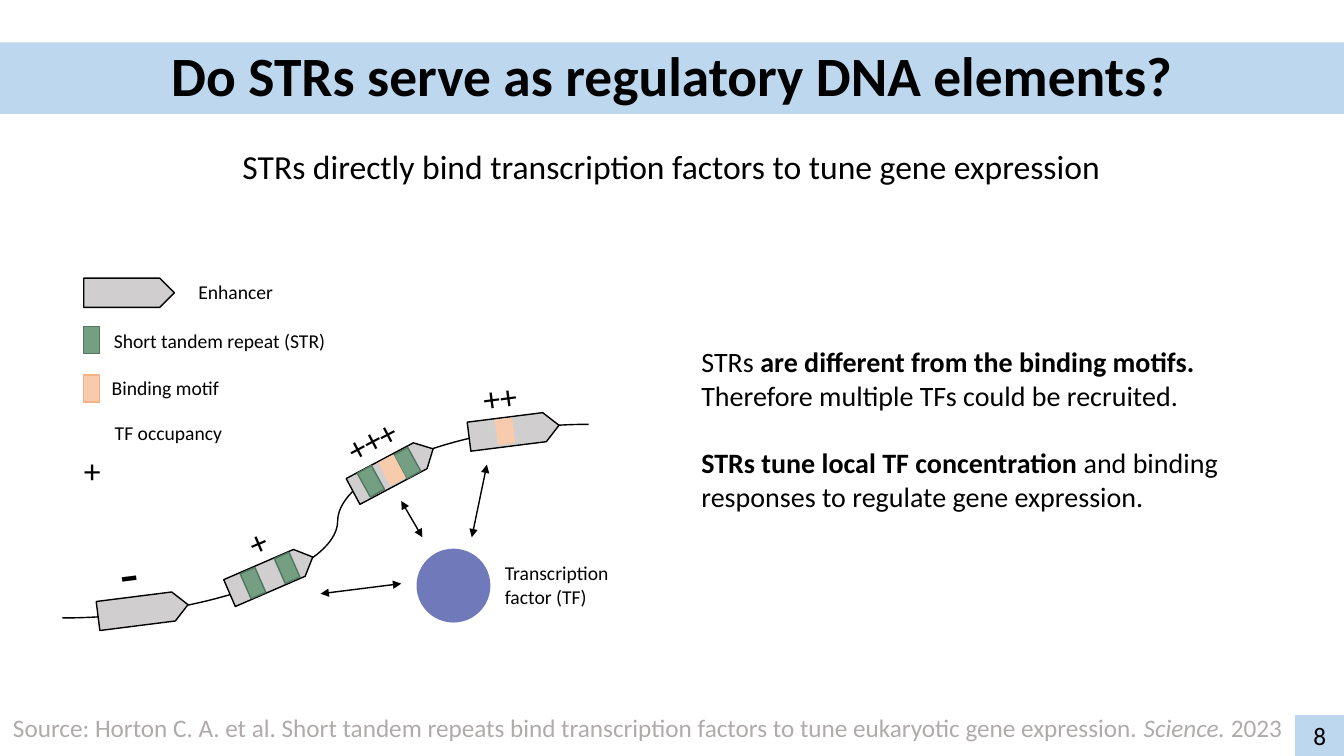
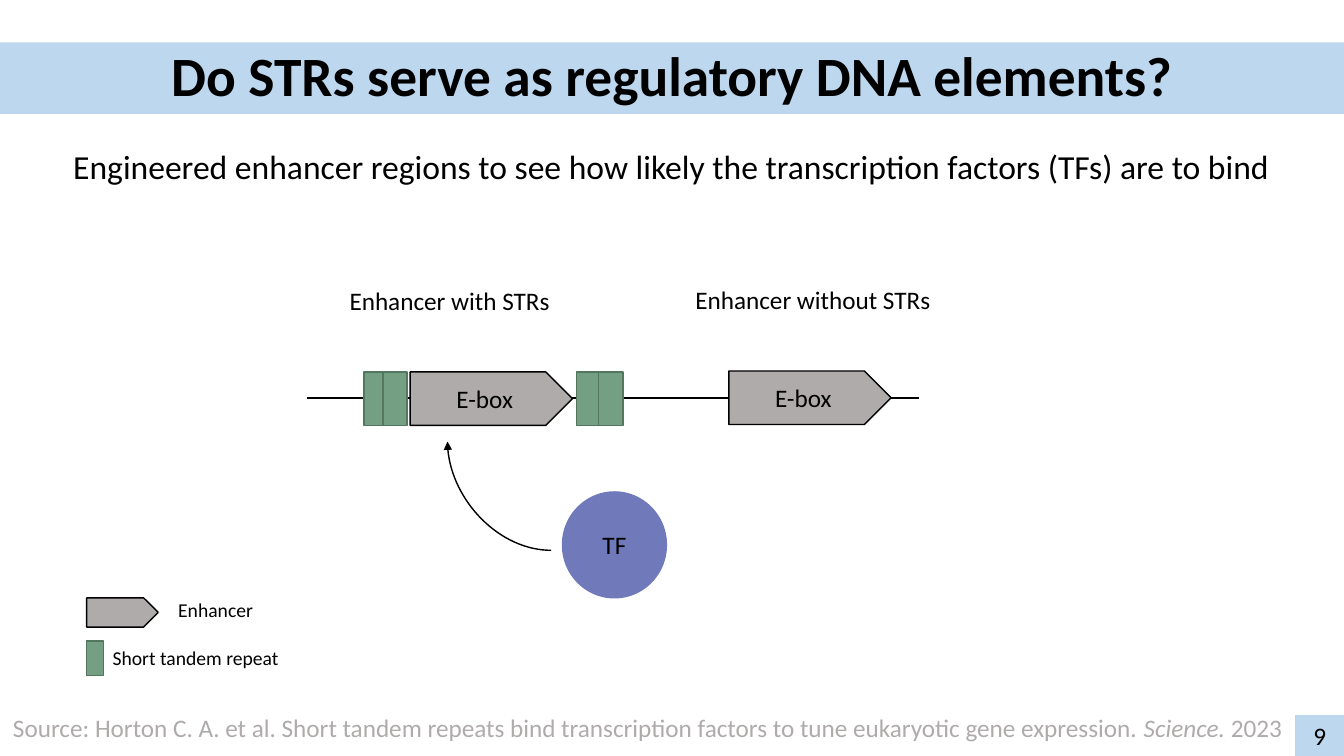
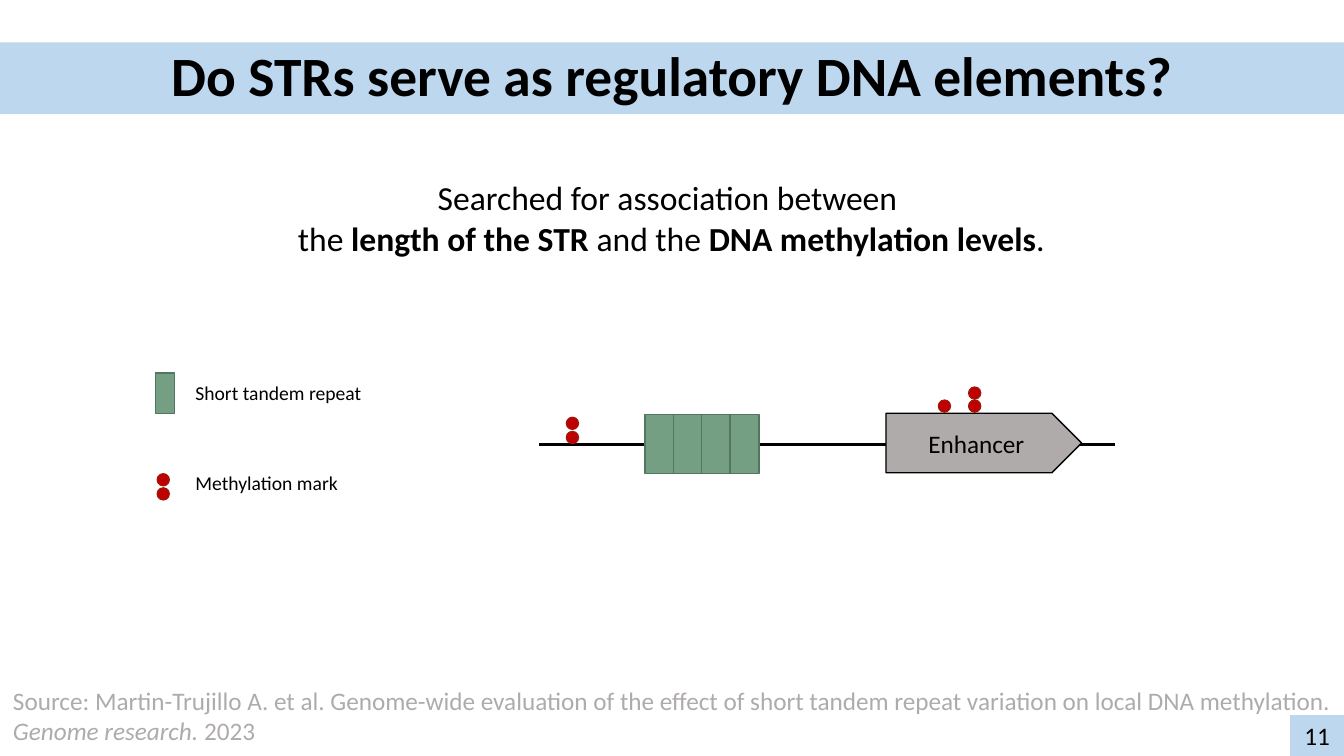
from lxml import etree
from pptx import Presentation
from pptx.dml.color import RGBColor
from pptx.enum import shapes, text
from pptx.oxml.ns import qn
from pptx.util import Pt

COLORS = {
    "band": "BDD7EE", "ink": "000000", "source": "AFABAB",
    "pale": "D0CECE", "gray": "AFABAB", "green": "749F83", "green_edge": "52765F",
    "peach": "F8CBAD", "peach_edge": "F4B183", "violet": "7079BA",
    "red": "C00000", "red_edge": "A11607",
}
FONT = "Calibri"
WIDTH, HEIGHT = 960, 540
SHAPE, LINK = shapes.MSO_SHAPE, shapes.MSO_CONNECTOR
CENTER, LEFT = text.PP_ALIGN.CENTER, text.PP_ALIGN.LEFT

# A paragraph is a list of (words, style) runs; style holds "b" and/or "i".
TITLE = "Do STRs serve as regulatory DNA elements?"
HORTON = [("Source: Horton C. A. et al. Short tandem repeats bind transcription factors "
           "to tune eukaryotic gene expression. ", ""), ("Science. ", "i"), ("2023", "")]
MARTIN = [("Source: Martin-Trujillo A. et al. Genome-wide evaluation of the effect of short "
           "tandem repeat variation on local DNA methylation. ", ""),
          ("Genome research. ", "i"), ("2023", "")]
BINDING_LEAD = [[("STRs directly bind transcription factors to tune gene expression", "")]]
ENGINEERED_LEAD = [[("Engineered enhancer regions to see how likely the transcription "
                     "factors (TFs) are to bind", "")]]
METHYLATION_LEAD = [
    [("Searched for association between ", "")],
    [("the ", ""), ("length of the STR ", "b"), ("and the ", ""),
     ("DNA methylation levels", "b"), (".", "")],
]
FINDINGS = [
    [("STRs ", ""), ("are different from the binding motifs.", "b"),
     (" Therefore multiple TFs could be recruited.", "")],
    [("STRs tune local TF concentration ", "b"),
     ("and binding responses to regulate gene expression.", "")],
]

# Binding slide: left, top, rotation (and height or size where it varies)
ENHANCERS = [(69.8, 425.5, -7.2), (161.3, 400.3, -23.4),
             (248.4, 325.4, -28), (334.8, 297.4, -7.2)]
REPEATS = [(175, 406.8, -23.7), (199.4, 396, -23.7),
           (259.2, 334.1, -28.9), (285.1, 321.1, -28.9)]
MOTIFS = [(274.3, 326.9, 18, -28.3), (355, 299.5, 17.3, -7.2)]
TF_ARROWS = [(286.6, 357.8, 301.7, 383.8), (347.8, 331.9, 337, 383.8),
             (229, 424.1, 286.6, 416.9)]
OCCUPANCY = [("-", 77.8, 377.3, 44.6, 60.5, 44, -7.3, 0),
             ("+", 159.1, 364.3, 71.3, 36, 24, -23, 10.8),
             ("++", 337.7, 263.5, 71.3, 36, 24, -7.6, 0),
             ("+++", 239, 291.6, 71.3, 36, 24, -27.9, 0)]
BINDING_LABELS = [("Enhancer", 134.6, 196.6), ("Short tandem repeat (STR)", 74.2, 231.1),
                  ("Binding motif", 72.7, 265), ("TF occupancy", 74.9, 297.4)]

# Engineered slide
CONSTRUCTS = [("Enhancer with STRs", 242.6, 200.2, 293, 265.7),
              ("Enhancer without STRs", 489.6, 199.4, 520.6, 265)]
FLANKING_REPEATS = [259.9, 273.6, 411.8, 427.7]
ENGINEERED_LABELS = [("Enhancer", 120.2, 423.4), ("Short tandem repeat", 73.4, 457.9)]

# Methylation slide
MARKS = [(404.6, 308.2), (404.6, 298.1), (670.3, 285.8), (691.9, 285.8), (691.9, 276.5),
         (112.3, 348.5), (112.3, 338.4)]
METHYLATION_LABELS = [("Short tandem repeat", 132.5, 268.6), ("Methylation mark", 132.5, 332.6)]


def color(name):
    return RGBColor.from_string(COLORS[name])


def write(frame, paragraphs, size, align=LEFT, ink="ink", gap=0):
    """Fill a text frame; gap is the space before each later paragraph."""
    frame.word_wrap = True
    for index, runs in enumerate(paragraphs):
        para = frame.paragraphs[0] if index == 0 else frame.add_paragraph()
        para.alignment = align
        if index:
            para.space_before = Pt(gap)
        for words, style in runs:
            span = para.add_run()
            span.text = words
            span.font.name, span.font.size = FONT, Pt(size)
            span.font.bold, span.font.italic = "b" in style, "i" in style
            span.font.color.rgb = color(ink)


def add_text(page, paragraphs, left, top, width, height, size, turn=0, indent=0, **options):
    box = page.shapes.add_textbox(Pt(left), Pt(top), Pt(width), Pt(height))
    box.rotation = turn
    box.text_frame.margin_left = Pt(7.2 + indent)
    write(box.text_frame, paragraphs, size, **options)


def add_labels(page, labels):
    for words, left, top in labels:
        add_text(page, [[(words, "")]], left, top, 180, 24.5, 14)


def add_figure(page, kind, left, top, width, height, fill, edge=None, turn=0,
               words="", size=18, style=""):
    figure = page.shapes.add_shape(kind, Pt(left), Pt(top), Pt(width), Pt(height))
    figure.shadow.inherit = False
    figure.rotation = turn
    figure.fill.solid()
    figure.fill.fore_color.rgb = color(fill)
    if edge:
        figure.line.color.rgb = color(edge)
        figure.line.width = Pt(1)
    else:
        figure.line.fill.background()
    if words:
        figure.text_frame.vertical_anchor = text.MSO_ANCHOR.MIDDLE
        write(figure.text_frame, [[(words, style)]], size, CENTER)
    return figure


def add_enhancer(page, left, top, width, height, fill="gray", **options):
    add_figure(page, SHAPE.PENTAGON, left, top, width, height, fill, "ink", **options)


def add_repeat(page, left, top, width, height, turn=0):
    add_figure(page, SHAPE.RECTANGLE, left, top, width, height, "green", "green_edge", turn)


def add_line(page, x1, y1, x2, y2, kind=LINK.STRAIGHT, weight=1, ends=()):
    """Draw a connector; ends may name headEnd and tailEnd, in that order."""
    line = page.shapes.add_connector(kind, Pt(x1), Pt(y1), Pt(x2), Pt(y2))
    line.line.color.rgb = color("ink")
    line.line.width = Pt(weight)
    for end in ends:
        etree.SubElement(line.line._get_or_add_ln(), qn("a:" + end), type="triangle")
    etree.SubElement(line._element.spPr, qn("a:effectLst"))
    return line


def start_page(deck, lead, lead_top, source, source_top, number, number_width=34.5):
    page = deck.slides.add_slide(deck.slide_layouts[6])
    band = add_figure(page, SHAPE.RECTANGLE, 0, 30.2, WIDTH, 51.1, "band",
                      words=TITLE, size=39.6, style="b")
    band.text_frame.paragraphs[0].line_spacing = 0.9
    add_text(page, lead, 25.2, lead_top, 908.6, 36 * len(lead), 24, align=CENTER)
    add_text(page, [source], 2.2, source_top, 957.6, HEIGHT - source_top, 18, ink="source")
    add_figure(page, SHAPE.RECTANGLE, WIDTH - number_width, 511.2, number_width, 28.8,
               "band", "band", words=str(number))
    return page


def build_binding(deck):
    page = start_page(deck, BINDING_LEAD, 100.8, HORTON, 505.4, 8)
    add_text(page, FINDINGS, 493.9, 242.6, 406.1, 128.2, 20, gap=24.4)
    strand = add_line(page, 44.6, 441.4, 420.5, 303.1, LINK.CURVE)
    bend = strand._element.spPr.find(qn("a:prstGeom")).get_or_add_avLst()
    etree.SubElement(bend, qn("a:gd"), name="adj1", fmla="val 52300")
    for left, top, turn in ENHANCERS + [(59.8, 198.7, 0)]:
        add_enhancer(page, left, top, 64.8, 20.9, "pale", turn=turn)
    for left, top, turn in REPEATS + [(59.8, 233.3, 0)]:
        add_repeat(page, left, top, 11.5, 19.4, turn)
    for left, top, height, turn in MOTIFS:
        add_figure(page, SHAPE.RECTANGLE, left, top, 11.5, height, "peach", "peach", turn)
    add_figure(page, SHAPE.RECTANGLE, 59.8, 267.8, 11.5, 19.4, "peach", "peach_edge")
    add_figure(page, SHAPE.OVAL, 298, 392.4, 51.8, 51.8, "violet", "violet")
    for ends in TF_ARROWS:
        add_line(page, *ends, ends=("headEnd", "tailEnd"))
    add_text(page, [[("Transcription factor (TF)", "")]], 353.5, 397.4, 99.4, 41, 14)
    for sign, left, top, width, height, size, turn, indent in OCCUPANCY:
        add_text(page, [[(sign, "")]], left, top, width, height, size, turn, indent)
    add_text(page, [[("+", "")]], 45.9, 318.2, 40, 36, 24, align=CENTER)
    add_labels(page, BINDING_LABELS)


def build_engineered(deck):
    page = start_page(deck, ENGINEERED_LEAD, 100.8, HORTON, 505.4, 9)
    add_line(page, 219.6, 284.4, 656.6, 284.4, weight=1.5)
    for heading, left, top, box_left, box_top in CONSTRUCTS:
        add_text(page, [[(heading, "")]], left, top, 200, 28.8, 18)
        add_enhancer(page, box_left, box_top, 115.9, 38.2, words="E-box")
    for left in FLANKING_REPEATS:
        add_repeat(page, left, 265.7, 17.3, 38.2)
    add_figure(page, SHAPE.OVAL, 401.8, 351.4, 74.2, 75.6, "violet", "violet", words="TF")
    arc = add_line(page, 393.8, 393.1, 319.7, 315.4, LINK.CURVE, ends=("tailEnd",))
    arc._element.spPr.find(qn("a:prstGeom")).set("prst", "curvedConnector2")
    add_enhancer(page, 61.9, 427, 51.1, 20.9)
    add_repeat(page, 61.9, 457.9, 12.2, 24.5)
    add_labels(page, ENGINEERED_LABELS)


def build_methylation(deck):
    page = start_page(deck, METHYLATION_LEAD, 123.1, MARTIN, 486, 11, 38.2)
    add_line(page, 385.2, 317.5, 796.3, 317.5, weight=1.5)
    for index in range(4):
        add_repeat(page, 460.8 + 20.2 * index, 295.9, 20.9, 42.5)
    add_enhancer(page, 632.9, 295.2, 139.7, 42.5, words="Enhancer")
    add_repeat(page, 110.9, 266.4, 13.7, 28.8)
    for left, top in MARKS:
        add_figure(page, SHAPE.OVAL, left, top, 8.6, 8.6, "red", "red_edge")
    add_labels(page, METHYLATION_LABELS)


def main():
    deck = Presentation()
    deck.slide_width, deck.slide_height = Pt(WIDTH), Pt(HEIGHT)
    build_binding(deck)
    build_engineered(deck)
    build_methylation(deck)
    deck.save("out.pptx")


if __name__ == "__main__":
    main()
